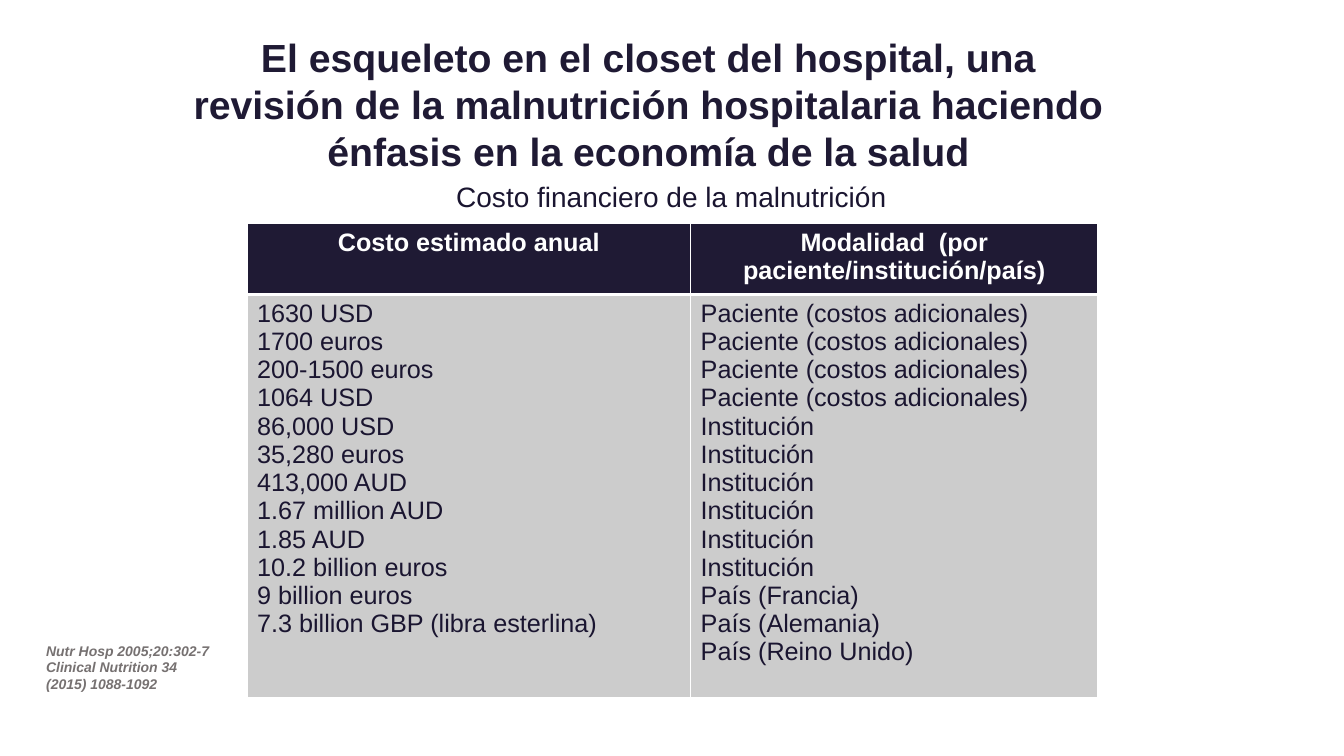
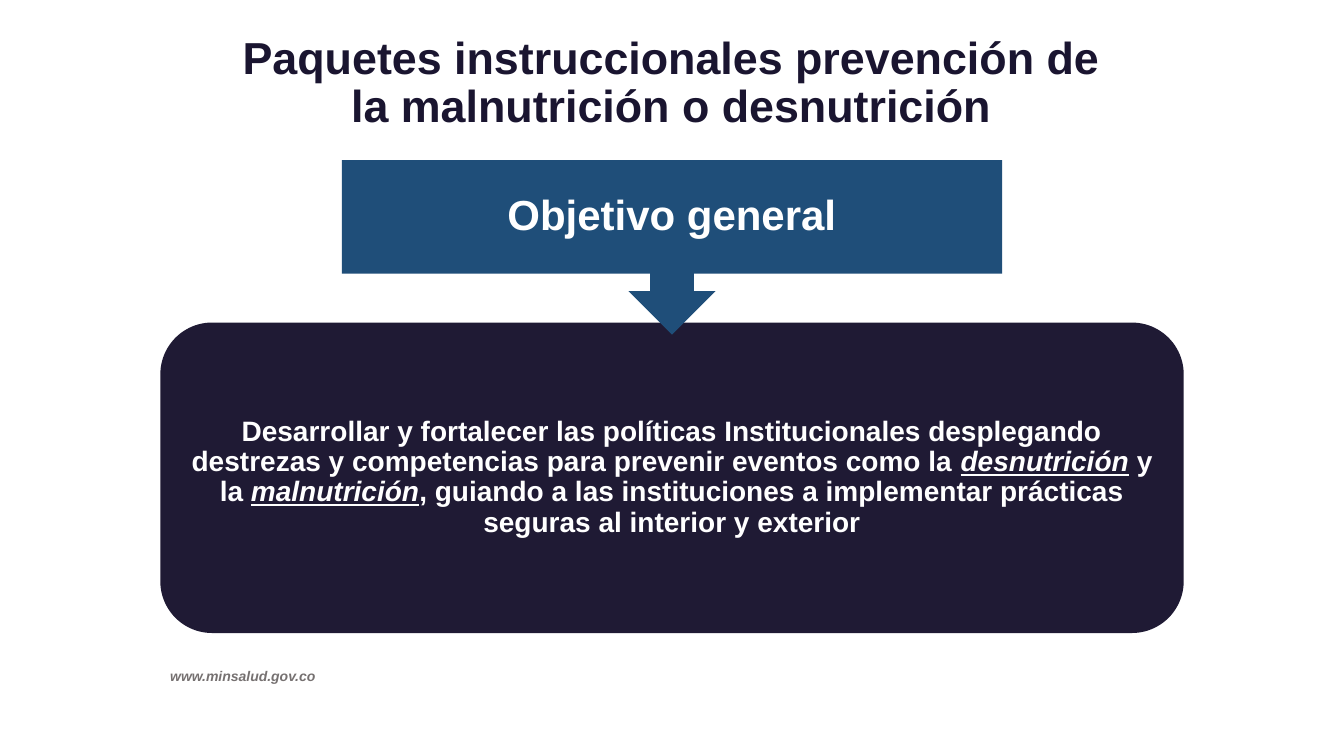
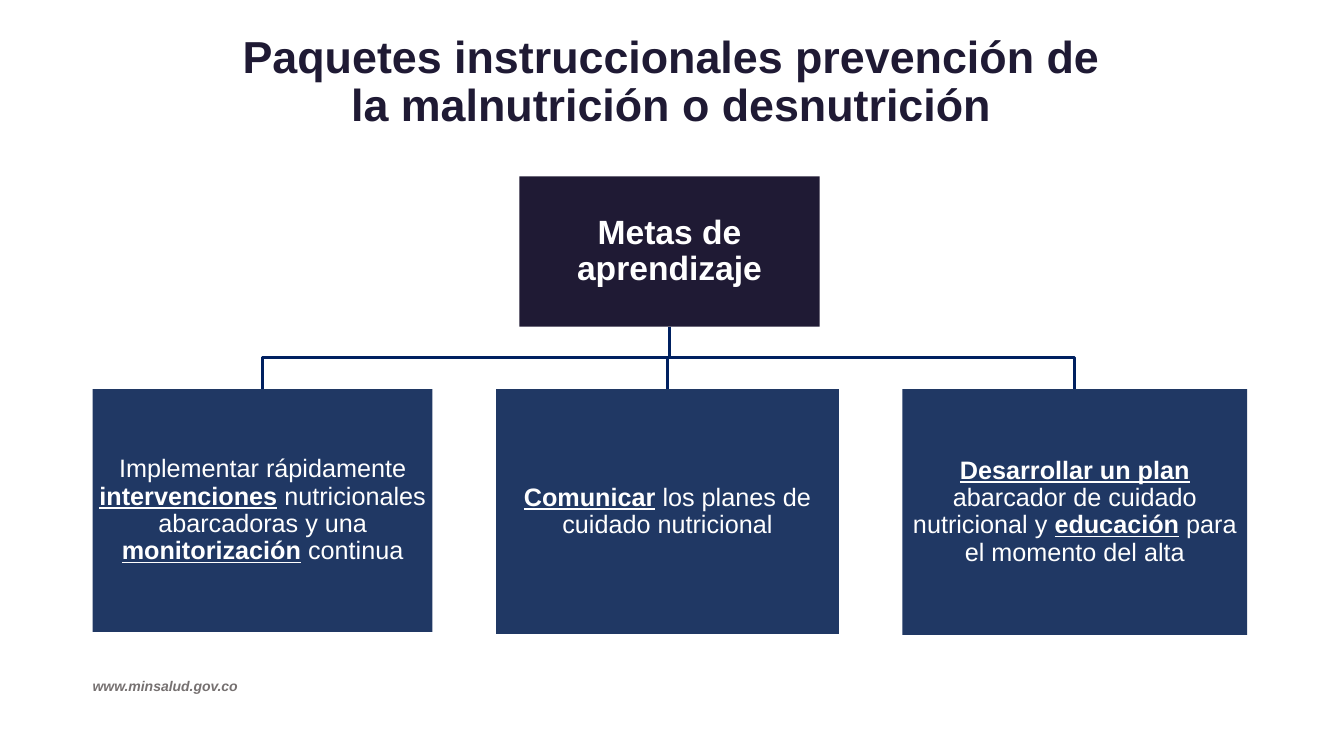
from lxml import etree
from pptx import Presentation
from pptx.dml.color import RGBColor
from pptx.enum.shapes import MSO_CONNECTOR, MSO_SHAPE
from pptx.enum.text import MSO_ANCHOR, MSO_AUTO_SIZE, PP_ALIGN
from pptx.oxml.ns import qn
from pptx.util import Inches, Pt

CENTER, LEFT = PP_ALIGN.CENTER, PP_ALIGN.LEFT
TOP, MIDDLE = MSO_ANCHOR.TOP, MSO_ANCHOR.MIDDLE
NO_FIT = MSO_AUTO_SIZE.NONE
RECTANGLE = MSO_SHAPE.RECTANGLE
ROUNDED_BOX = MSO_SHAPE.FLOWCHART_ALTERNATE_PROCESS
ARROW_BOX = MSO_SHAPE.DOWN_ARROW_CALLOUT
ELBOW = MSO_CONNECTOR.ELBOW

FONT = "Arial"
NAVY, INK, BLUE, STEEL = "1F1A34", "1A1530", "203864", "1F4E79"
LINE, GREY, SILVER, WHITE = "002060", "767171", "CCCCCC", "FFFFFF"
TITLE_ONLY = 5

PACKAGE_TITLE = "Paquetes instruccionales prevención de la malnutrición o desnutrición"
WEB_SOURCE = "www.minsalud.gov.co"

COST_HEADERS = ["Costo estimado anual", "Modalidad  (por paciente/institución/país)"]
COSTS = [
    "1630 USD", "1700 euros", "200-1500 euros", "1064 USD", "86,000 USD", "35,280 euros",
    "413,000 AUD", "1.67 million AUD", "1.85 AUD", "10.2 billion euros", "9 billion euros",
    "7.3 billion GBP (libra esterlina)",
]
MODES = (
    ["Paciente (costos adicionales)"] * 4
    + ["Institución"] * 6
    + ["País (Francia)", "País (Alemania)", "País (Reino Unido)"]
)

OBJECTIVE = [
    ("Desarrollar y fortalecer las políticas Institucionales desplegando destrezas y "
     "competencias para prevenir eventos como la ", ""),
    ("desnutrición", "iu"),
    (" y la ", ""),
    ("malnutrición", "iu"),
    (", guiando a las instituciones a implementar prácticas seguras al interior y exterior", ""),
]
GOALS = [
    (3.37, 2.41, [
        ("Implementar rápidamente ", ""), ("intervenciones", "bu"),
        (" nutricionales abarcadoras y una ", ""), ("monitorización", "bu"), (" continua", ""),
    ]),
    (3.4, 2.43, [("Comunicar", "bu"), (" los planes de cuidado nutricional", "")]),
    (3.42, 2.44, [
        ("Desarrollar un plan", "bu"), (" abarcador de cuidado nutricional y ", ""),
        ("educación", "bu"), (" para el momento del alta", ""),
    ]),
]


def rgb(value):
    return RGBColor.from_string(value)


def write(frame, paragraphs, size, color, style="", align=LEFT, spacing=None):
    for index, spans in enumerate(paragraphs):
        para = frame.add_paragraph() if index else frame.paragraphs[0]
        para.alignment = align
        if spacing:
            para.line_spacing = spacing
        for text, extra in [(spans, "")] if isinstance(spans, str) else spans:
            span = para.add_run()
            span.text = text
            font = span.font
            font.name, font.size = FONT, Pt(size)
            font.color.rgb = rgb(color)
            font.bold = "b" in style + extra
            font.italic = "i" in style + extra
            font.underline = "u" in extra


def add_page(deck, title, place, size, color, spacing=None):
    page = deck.slides.add_slide(deck.slide_layouts[TITLE_ONLY])
    box = page.shapes.title
    box.left, box.top, box.width, box.height = map(Inches, place)
    frame = box.text_frame
    frame.word_wrap, frame.auto_size, frame.vertical_anchor = True, NO_FIT, TOP
    write(frame, [title], size, color, "b", CENTER, spacing)
    return page


def add_text(page, place, paragraphs, size, color, style="", align=LEFT, wrap=False):
    frame = page.shapes.add_textbox(*map(Inches, place)).text_frame
    frame.word_wrap = wrap
    write(frame, paragraphs, size, color, style, align)


def add_source(page, place, lines, wrap=False):
    add_text(page, place, lines, 10, GREY, "bi", wrap=wrap)


def add_box(page, kind, place, fill, spans, size, inset, style=""):
    box = page.shapes.add_shape(kind, *map(Inches, place))
    box.shadow.inherit = False
    box.fill.solid()
    box.fill.fore_color.rgb = rgb(fill)
    box.line.fill.background()
    frame = box.text_frame
    frame.word_wrap, frame.vertical_anchor = True, MIDDLE
    frame.margin_left = frame.margin_right = Inches(inset)
    frame.margin_top = frame.margin_bottom = Inches(inset)
    write(frame, [spans], size, WHITE, style, CENTER, 0.9)
    return box


def add_branch(page, parent, child):
    branch = page.shapes.add_connector(ELBOW, 0, 0, 0, 0)
    branch.begin_connect(parent, 2)
    branch.end_connect(child, 0)
    start, end = parent.left + parent.width // 2, child.left + child.width // 2
    bottom = parent.top + parent.height
    drop, reach = child.top - bottom, abs(end - start)
    branch.left = (start + end - drop) // 2
    branch.top = (bottom + child.top - reach) // 2
    branch.width, branch.height = drop, reach
    frame = branch._element.spPr.find(qn("a:xfrm"))
    frame.set("rot", "16200000" if end > start else "5400000")
    frame.set("flipH", "1" if end > start else "0")
    frame.set("flipV", "0")
    branch.line.color.rgb = rgb(LINE)
    branch.line.width = Pt(2)
    etree.SubElement(branch._element.spPr, qn("a:effectLst"))


def set_borders(cell, bottom):
    properties = cell._tc.get_or_add_tcPr()
    for index, side in enumerate(("lnL", "lnR", "lnT", "lnB")):
        width = bottom if side == "lnB" else 1
        border = etree.Element(qn(f"a:{side}"), w=str(Pt(width)))
        fill = etree.SubElement(border, qn("a:solidFill"))
        etree.SubElement(fill, qn("a:srgbClr"), val=WHITE)
        properties.insert(index, border)


def format_cell(cell, fill, bottom):
    cell.fill.solid()
    cell.fill.fore_color.rgb = rgb(fill)
    set_borders(cell, bottom)


def add_cost_table(page):
    table = page.shapes.add_table(2, 2, *map(Inches, (2.45, 2.22, 8.44, 4.69))).table
    for row, height in zip(table.rows, (0.7, 3.99)):
        row.height = Inches(height)
    for index, (width, header, lines) in enumerate(
        zip((4.4, 4.04), COST_HEADERS, (COSTS, MODES))
    ):
        table.columns[index].width = Inches(width)
        head, body = table.cell(0, index), table.cell(1, index)
        format_cell(head, NAVY, 3)
        format_cell(body, SILVER, 1)
        write(head.text_frame, [header], 18, WHITE, "b", CENTER)
        write(body.text_frame, lines, 18, INK)


def build_costs(deck):
    page = add_page(
        deck,
        "El esqueleto en el closet del hospital, una revisión de la malnutrición "
        "hospitalaria haciendo énfasis en la economía de la salud",
        (1.71, 0.28, 9.44, 1.51), 28, NAVY,
    )
    add_source(
        page, (0.36, 6.32, 1.86, 0.91),
        ["Nutr Hosp 2005;20:302-7", "Clinical Nutrition 34 (2015) 1088-1092"], wrap=True,
    )
    add_cost_table(page)
    add_text(page, (4.41, 1.73, 4.5, 0.44), ["Costo financiero de la malnutrición"],
             20, INK, align=CENTER)


def build_objective(deck):
    page = add_page(deck, PACKAGE_TITLE, (2.21, 0.3, 8.9, 0.9), 32, INK, 0.9)
    add_box(page, ROUNDED_BOX, (1.59, 3.2, 10.15, 3.08), NAVY, OBJECTIVE, 20, 0.16, "b")
    add_box(page, ARROW_BOX, (3.39, 1.59, 6.55, 1.73), STEEL, "Objetivo general", 30, 0.23, "b")
    add_source(page, (1.59, 6.57, 1.67, 0.27), [WEB_SOURCE])


def build_goals(deck):
    page = add_page(deck, PACKAGE_TITLE, (2.21, 0.29, 8.9, 0.9), 32, NAVY, 0.9)
    add_source(page, (0.82, 6.67, 1.67, 0.27), [WEB_SOURCE])
    root = add_box(page, RECTANGLE, (5.15, 1.75, 2.98, 1.49), NAVY,
                   "Metas de aprendizaje", 24, 0.02, "b")
    left, gap = 0.92, 0.63
    for width, height, spans in GOALS:
        goal = add_box(page, RECTANGLE, (left, 3.86, width, height), BLUE, spans, 18, 0.01)
        add_branch(page, root, goal)
        left += width + gap


def main():
    deck = Presentation()
    deck.slide_width, deck.slide_height = Inches(13.33), Inches(7.5)
    build_costs(deck)
    build_objective(deck)
    build_goals(deck)
    deck.save("out.pptx")


if __name__ == "__main__":
    main()
